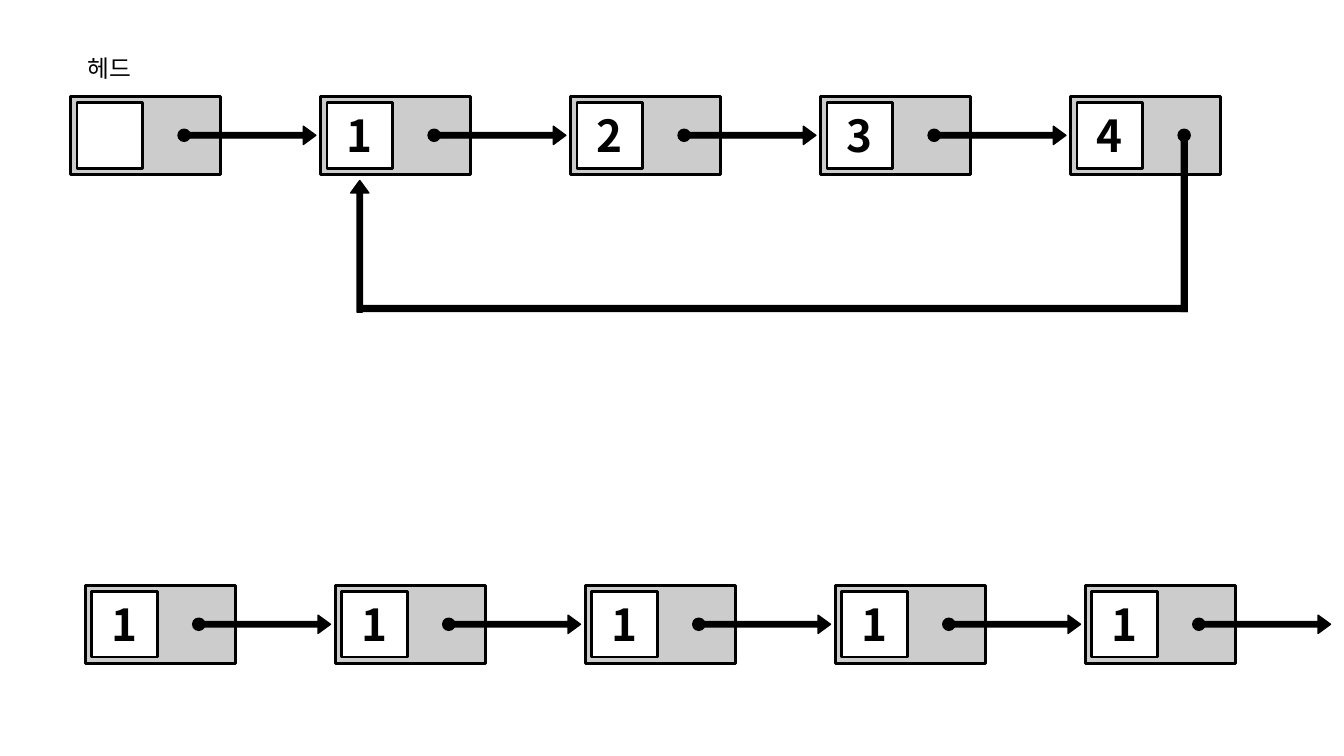
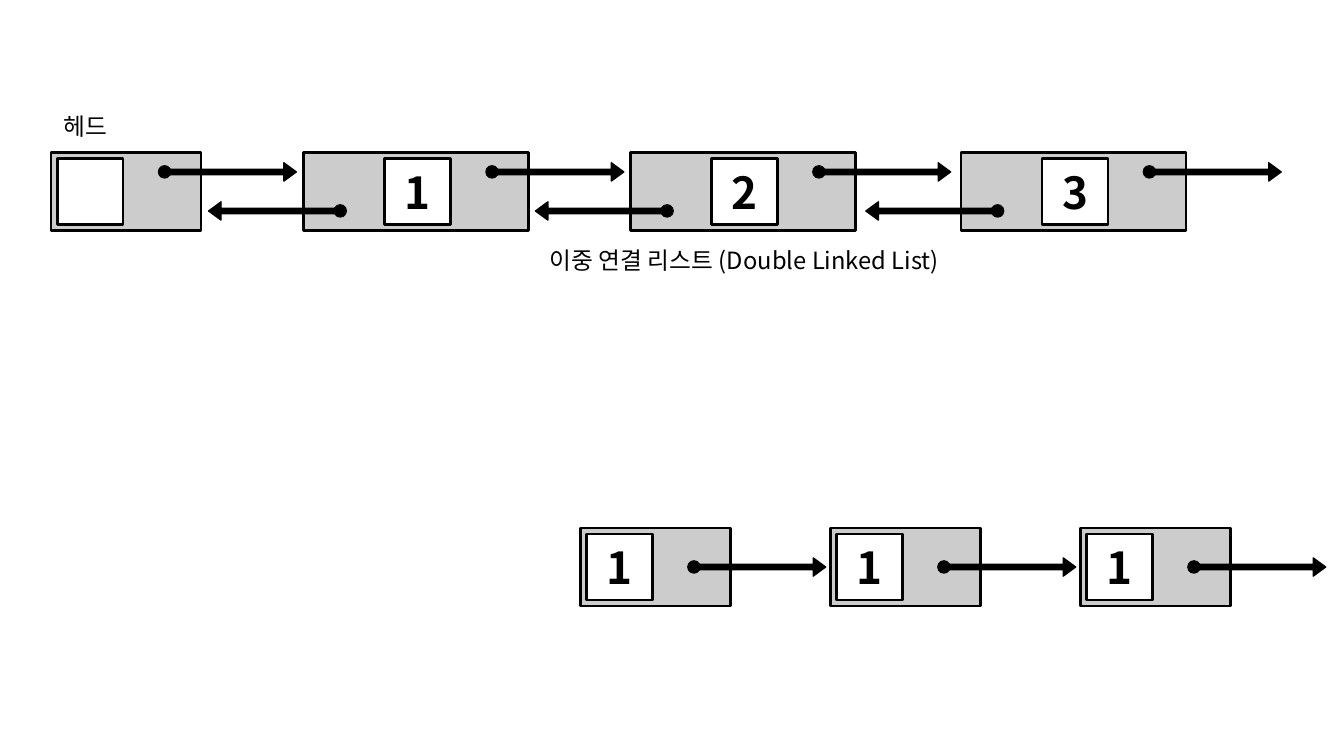
from math import cos, radians, sin

from lxml import etree
from pptx import Presentation
from pptx.dml.color import RGBColor
from pptx.enum.shapes import MSO_SHAPE
from pptx.enum.text import MSO_ANCHOR, MSO_AUTO_SIZE, PP_ALIGN
from pptx.oxml.ns import qn
from pptx.util import Inches, Pt

BOX = MSO_SHAPE.FLOWCHART_PROCESS
DOT = MSO_SHAPE.FLOWCHART_CONNECTOR
ARROW = MSO_SHAPE.RIGHT_ARROW
BAR = MSO_SHAPE.RECTANGLE
MIDDLE = MSO_ANCHOR.MIDDLE
CENTER = PP_ALIGN.CENTER
FIT = MSO_AUTO_SIZE.SHAPE_TO_FIT_TEXT

WIDTH, HEIGHT = 11.02, 6.2
FONT = "Noto Sans CJK KR"
COLORS = {"ink": "000000", "node": "CCCCCC", "cell": "FFFFFF"}

PITCH = 2.05                 # from one node to the next
NODE_W, NODE_H = 1.23, 0.64
WIDE_W = NODE_W * 1.5        # node with links both ways
CELL, PAD = 0.54, 0.05
INSET = 0.3                  # from a node's side to its link
REACH, HEAD = 1.08, 0.15     # arrow length and breadth
SPOT, THICK = 0.1, 0.06
RIGHT, LEFT, UP = 0, 180, 270


def color(name):
    return RGBColor.from_string(COLORS[name])


def put(slide, kind, x, y, w, h, fill, line):
    """Add a filled shape; a line width of 0 means no outline."""
    shape = slide.shapes.add_shape(
        kind, Inches(x), Inches(y), Inches(w), Inches(h))
    shape.shadow.inherit = False
    shape.fill.solid()
    shape.fill.fore_color.rgb = color(fill)
    if line:
        shape.line.color.rgb = color("ink")
        shape.line.width = Pt(line)
    else:
        shape.line.fill.background()
    return shape


def write(shape, text, size, bold=False):
    frame = shape.text_frame
    frame.text = text
    frame.word_wrap = False
    for run in frame.paragraphs[0].runs:
        font = run.font
        font.name, font.size, font.bold = FONT, Pt(size), bold
        font.color.rgb = color("ink")
        east = etree.SubElement(run._r.get_or_add_rPr(), qn("a:ea"))
        east.set("typeface", FONT)
    return frame


def label(slide, x, y, w, text):
    box = slide.shapes.add_textbox(
        Inches(x), Inches(y), Inches(w), Inches(0.38))
    write(box, text, 14).auto_size = FIT


def arrow(slide, x, y, turn):
    """Add an arrow whose tail is at x, y."""
    mid_x = x + REACH / 2 * cos(radians(turn))
    mid_y = y + REACH / 2 * sin(radians(turn))
    shape = put(slide, ARROW, mid_x - REACH / 2, mid_y - HEAD / 2,
                REACH, HEAD, "ink", 0.79)
    shape.adjustments[0], shape.adjustments[1] = 0.295, 0.682
    shape.rotation = turn


def dot(slide, x, y):
    put(slide, DOT, x - SPOT / 2, y - SPOT / 2, SPOT, SPOT, "ink", 0.79)


def link(slide, x, y, turn=RIGHT):
    arrow(slide, x, y, turn)
    dot(slide, x, y)


def node(slide, x, y, text, wide=False):
    """Add a node with its data cell and return the x of its next link."""
    width = WIDE_W if wide else NODE_W
    put(slide, BOX, x, y, width, NODE_H, "node", 1.5)
    cell = put(slide, BOX, x + width - NODE_W + PAD, y + PAD,
               CELL, CELL, "cell", 1.5)
    if text:
        frame = write(cell, text, 26, True)
        frame.vertical_anchor = MIDDLE
        frame.paragraphs[0].alignment = CENTER
    return x + width - INSET


def chain(slide, x, y, items):
    for i, text in enumerate(items):
        link(slide, node(slide, x + i * PITCH, y, text), y + NODE_H / 2)


def ring(slide, x, y, items):
    """Add a chain whose last node leads back to its second node."""
    chain(slide, x, y, items[:-1])
    last = x + (len(items) - 1) * PITCH
    end = node(slide, last, y, items[-1])
    mid, base = y + NODE_H / 2, 2.56
    start = x + PITCH + PAD + CELL / 2
    arrow(slide, start, base, UP)
    dot(slide, end, mid)
    put(slide, BAR, start, base - THICK, end + THICK / 2 - start, THICK,
        "ink", 0)
    put(slide, BAR, end - THICK / 2, mid, THICK, base - mid, "ink", 0)


def double(slide, x, y, nodes):
    """Add a head node and nodes linked in both directions."""
    upper, lower = y + NODE_H / 4, y + NODE_H * 3 / 4
    link(slide, node(slide, x, y, ""), upper)
    for left, text in nodes:
        link(slide, node(slide, left, y, text, wide=True), upper)
        link(slide, left + INSET, lower, LEFT)


def main():
    deck = Presentation()
    deck.slide_width, deck.slide_height = Inches(WIDTH), Inches(HEIGHT)
    blank = deck.slide_layouts[6]

    slide = deck.slides.add_slide(blank)
    label(slide, 0.62, 0.39, 0.56, "헤드")
    ring(slide, 0.58, 0.79, ["", "1", "2", "3", "4"])
    chain(slide, 0.7, 4.8, ["1"] * 5)

    slide = deck.slides.add_slide(blank)
    label(slide, 0.42, 0.87, 0.56, "헤드")
    double(slide, 0.42, 1.25, [(2.49, "1"), (5.17, "2"), (7.88, "3")])
    label(slide, 4.41, 1.97, 3.5, "이중 연결 리스트 (Double Linked List)")
    chain(slide, 4.76, 4.33, ["1"] * 3)

    deck.save("out.pptx")


if __name__ == "__main__":
    main()
